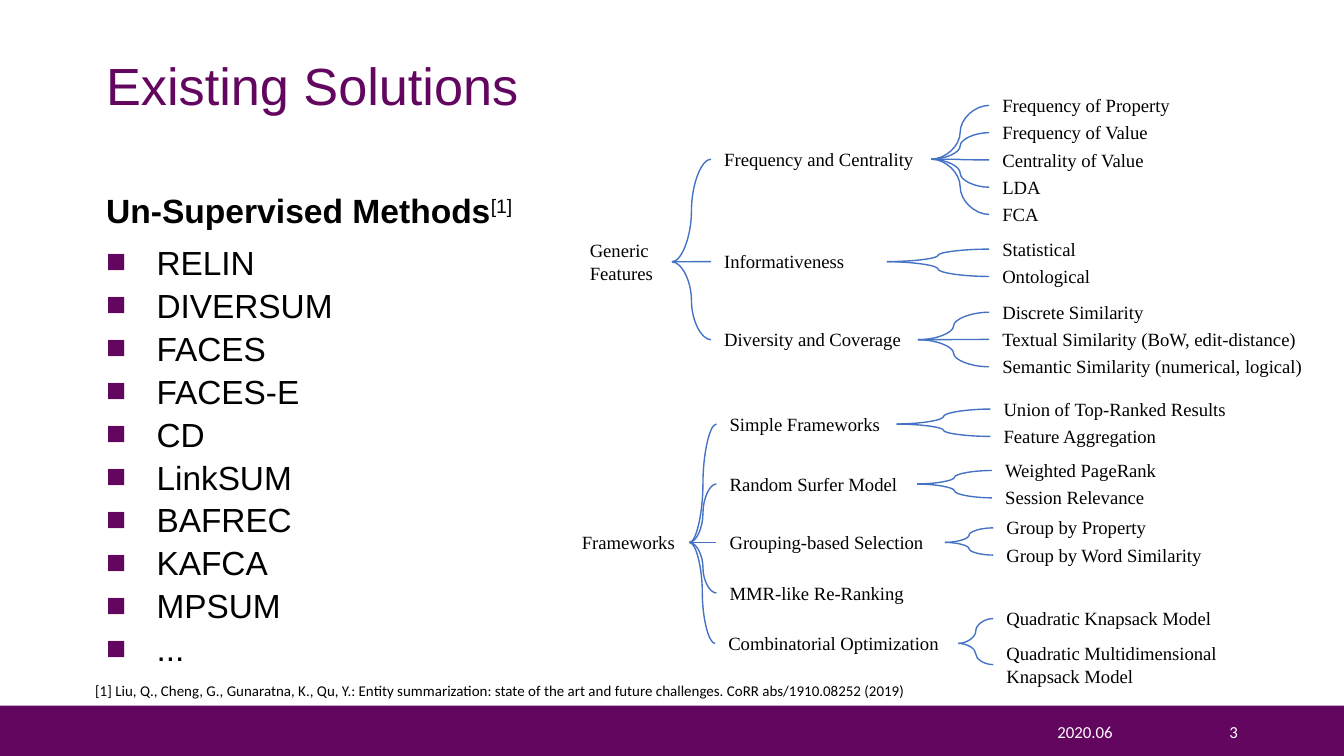
from lxml import etree
from pptx import Presentation
from pptx.dml.color import RGBColor
from pptx.enum.shapes import MSO_CONNECTOR, MSO_SHAPE
from pptx.enum.text import MSO_ANCHOR, MSO_AUTO_SIZE, PP_ALIGN
from pptx.oxml.ns import qn
from pptx.util import Pt

CURVE, RECTANGLE = MSO_CONNECTOR.CURVE, MSO_SHAPE.RECTANGLE
TOP, MIDDLE, BOTTOM = MSO_ANCHOR.TOP, MSO_ANCHOR.MIDDLE, MSO_ANCHOR.BOTTOM
LEFT, CENTER, RIGHT = PP_ALIGN.LEFT, PP_ALIGN.CENTER, PP_ALIGN.RIGHT
NO_AUTOFIT = MSO_AUTO_SIZE.NONE

PURPLE = RGBColor(0x63, 0x06, 0x5F)
BLUE = RGBColor(0x44, 0x72, 0xC4)
BLACK = RGBColor(0, 0, 0)
WHITE = RGBColor(0xFF, 0xFF, 0xFF)

TITLE_FONT = {"name": "Arial", "size": Pt(28), "bold": False}
HEADING_FONT = {"name": "Arial", "size": Pt(18), "bold": True}
LIST_FONT = {"name": "Arial", "size": Pt(17.9), "bold": False}
NODE_FONT = {"name": "Times New Roman", "size": Pt(10)}
FOOTER_FONT = {"name": "Calibri", "size": Pt(9)}
CITATION_FONT = {"name": "Calibri", "size": Pt(8)}

SITE_LEFT, SITE_RIGHT = 1, 3
LINE_HEIGHT, NODE_PADDING, LEAF_PITCH = 12, 7.4, 14.6

METHODS = ["RELIN", "DIVERSUM", "FACES", "FACES-E", "CD", "LinkSUM",
           "BAFREC", "KAFCA", "MPSUM", "..."]
CITATION = ("[1] Liu, Q., Cheng, G., Gunaratna, K., Qu, Y.: Entity summarization: "
            "state of the art and future challenges. CoRR abs/1910.08252 (2019)")

# A node is (text, left, top, width, lines), relative to its tree.
# A branch is (node, leaf left, first leaf top, leaf pitch, leaves);
# a leaf is (text, width, lines).
FEATURES_ROOT = ("Generic\nFeatures", 0, 77.8, 51.1, 2)
FEATURES_BRANCHES = [
    (("Frequency and Centrality", 72, 28.8, 118, 1), 221, 0, LEAF_PITCH,
     [("Frequency of Property", 106, 1), ("Frequency of Value", 95, 1),
      ("Centrality of Value", 93, 1), ("LDA", 36, 1), ("FCA", 34, 1)]),
    (("Informativeness", 72, 83.7, 94.3, 1), 221, 77, LEAF_PITCH,
     [("Statistical", 120, 1), ("Ontological", 64, 1)]),
    (("Diversity and Coverage", 72, 125.5, 110.9, 1), 221, 110.8, LEAF_PITCH,
     [("Discrete Similarity", 120, 1),
      ("Textual Similarity (BoW, edit-distance)", 177, 1),
      ("Semantic Similarity (numerical, logical)", 177, 1)]),
]
FRAMEWORKS_ROOT = ("Frameworks", 0, 71.4, 64.8, 1)
FRAMEWORKS_BRANCHES = [
    (("Simple Frameworks", 79.2, 8, 96.5, 1), 226, 0, LEAF_PITCH,
     [("Union of Top-Ranked Results", 136, 1), ("Feature Aggregation", 98, 1)]),
    (("Random Surfer Model", 79.2, 40.1, 107.5, 1), 226.8, 32.9, LEAF_PITCH,
     [("Weighted PageRank", 120, 1), ("Session Relevance", 90, 1)]),
    (("Grouping-based Selection", 79.2, 71.4, 122.4, 1), 227.5, 63.6, LEAF_PITCH,
     [("Group by Property", 120, 1), ("Group by Word Similarity", 122, 1)]),
    (("MMR-like Re-Ranking", 79.2, 98.5, 142, 1), 227.5, 0, LEAF_PITCH, []),
    (("Combinatorial Optimization", 78.5, 125.5, 130.3, 1), 227.5, 112.2, 18.7,
     [("Quadratic Knapsack Model", 156, 1),
      ("Quadratic Multidimensional Knapsack Model", 135, 2)]),
]


def apply_format(target, values):
    """Set every attribute named in values on target."""
    for name, value in values.items():
        setattr(target, name, value)


def place(shape, box):
    """Move and size a shape to a box given in points."""
    names = ("left", "top", "width", "height")
    apply_format(shape, {name: Pt(value) for name, value in zip(names, box)})


def write(shape, lines, font, color, anchor=TOP, inset=3.6, **paragraph_format):
    """Fill a shape with one formatted paragraph per line."""
    frame = shape.text_frame
    apply_format(frame, {
        "word_wrap": True, "auto_size": NO_AUTOFIT, "vertical_anchor": anchor,
        "margin_left": Pt(7.2), "margin_right": Pt(7.2),
        "margin_top": Pt(inset), "margin_bottom": Pt(inset)})
    frame.text = "\n".join(lines)
    for paragraph in frame.paragraphs:
        apply_format(paragraph, {"alignment": LEFT, "space_before": Pt(0),
                                 **paragraph_format})
        apply_format(paragraph.runs[0].font, font)
        paragraph.runs[0].font.color.rgb = color
    return frame.paragraphs


def add_text(slide, box, lines, font, color, **options):
    """Add a text box at a box given in points."""
    shape = slide.shapes.add_textbox(*map(Pt, box))
    write(shape, lines, font, color, **options)
    return shape


def set_bullet(paragraph):
    """Give a paragraph a purple square bullet with a hanging indent."""
    properties = paragraph._p.get_or_add_pPr()
    properties.set("marL", str(Pt(27)))
    properties.set("indent", str(-Pt(27)))
    bullet_color = etree.SubElement(properties, qn("a:buClr"))
    etree.SubElement(bullet_color, qn("a:srgbClr"), val=str(PURPLE))
    etree.SubElement(properties, qn("a:buFont"), typeface="Arial")
    etree.SubElement(properties, qn("a:buChar"), char="■")


def add_footer(slide, box):
    """Draw the purple bar with the date and the slide number."""
    left, top, width, height = box
    bar = slide.shapes.add_shape(RECTANGLE, *map(Pt, box))
    bar.shadow.inherit = False
    bar.fill.solid()
    bar.fill.fore_color.rgb = PURPLE
    bar.line.fill.background()
    for text, offset, text_width, alignment in (("2020.06", 532, 98.6, CENTER),
                                                ("3", 630.7, 39.6, RIGHT)):
        add_text(slide, (left + offset, top + 3, text_width, 21.6), [text],
                 FOOTER_FONT, WHITE, anchor=MIDDLE, alignment=alignment)


def fill_methods(slide, box):
    """Place the title, the heading and the bulleted list of methods."""
    left, top, width, height = box
    title, heading, methods = (slide.placeholders[index] for index in range(3))
    place(title, (left, top, 620.6, 38.2))
    write(title, ["Existing Solutions"], TITLE_FONT, PURPLE,
          anchor=MIDDLE, line_spacing=0.9)

    place(heading, (left, top + 51.1, width, 48.2))
    paragraph = write(heading, ["Un-Supervised Methods"], HEADING_FONT, BLACK,
                      anchor=BOTTOM, line_spacing=0.9)[0]
    reference = paragraph.add_run()
    reference.text = "[1]"
    apply_format(reference.font, {**HEADING_FONT, "bold": False})
    reference.font.color.rgb = BLACK
    reference._r.get_or_add_rPr().set("baseline", "30000")

    place(methods, (left, top + 103.7, width, height - 103.7))
    paragraphs = write(methods, METHODS, LIST_FONT, BLACK,
                       line_spacing=0.7, space_before=Pt(8))
    paragraphs[0].space_before = Pt(0)
    for paragraph in paragraphs:
        set_bullet(paragraph)


def add_link(slide, parent, child):
    """Join the right side of parent to the left side of child."""
    link = slide.shapes.add_connector(CURVE, 0, 0, 0, 0)
    link.begin_connect(parent, SITE_RIGHT)
    link.end_connect(child, SITE_LEFT)
    link.line.color.rgb = BLUE
    link.line.width = Pt(0.75)
    etree.SubElement(link._element.spPr, qn("a:effectLst"))


def add_tree(slide, origin, root, branches):
    """Draw a root, its branches and their leaves from a top left corner."""
    def add_node(text, left, top, width, lines):
        """Add one label of the tree."""
        box = (origin[0] + left, origin[1] + top, width,
               LINE_HEIGHT * lines + NODE_PADDING)
        return add_text(slide, box, text.split("\n"), NODE_FONT, BLACK)

    root_shape = add_node(*root)
    for node, leaf_left, leaf_top, pitch, leaves in branches:
        branch_shape = add_node(*node)
        add_link(slide, root_shape, branch_shape)
        for row, (text, width, lines) in enumerate(leaves):
            leaf = add_node(text, leaf_left, leaf_top + row * pitch, width, lines)
            add_link(slide, branch_shape, leaf)


def main():
    """Build the slide and save it."""
    presentation = Presentation()
    presentation.slide_width, presentation.slide_height = Pt(720), Pt(405)
    slide = presentation.slides.add_slide(presentation.slide_layouts[4])
    for placeholder in list(slide.placeholders):
        if placeholder.placeholder_format.idx > 2:
            placeholder._element.getparent().remove(placeholder._element)

    add_footer(slide, (0, 378, 720, 27))
    fill_methods(slide, (49.7, 28.1, 306, 335.5))
    add_tree(slide, (308.9, 46.8), FEATURES_ROOT, FEATURES_BRANCHES)
    add_tree(slide, (304.6, 209.5), FRAMEWORKS_ROOT, FRAMEWORKS_BRANCHES)
    add_text(slide, (43.9, 356.4, 548.6, 21.6), [CITATION], CITATION_FONT, BLACK,
             inset=7.2, line_spacing=1.15)
    presentation.save("out.pptx")


main()
